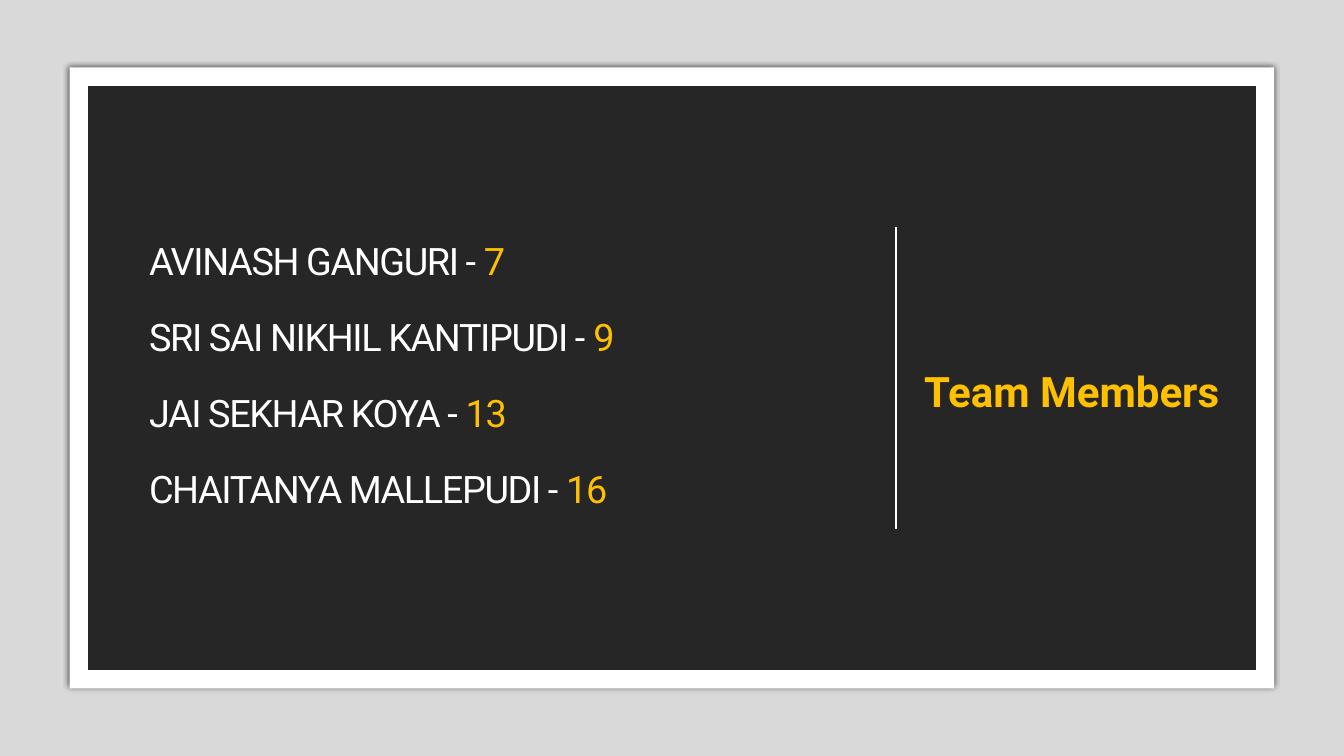
import dataclasses

import pptx
import pptx.dml.color
import pptx.enum.shapes
import pptx.enum.text
import pptx.oxml
import pptx.oxml.ns
import pptx.util

Pt = pptx.util.Pt


@dataclasses.dataclass(frozen=True)
class Theme:
    font: str = "Roboto"
    wall: str = "D9D9D9"
    dark: str = "262626"
    white: str = "FFFFFF"
    gold: str = "FFC000"
    shade: str = "000000"
    list_size: float = 27
    head_size: float = 30
    leading: float = 0.85
    gap: float = 26.9


@dataclasses.dataclass(frozen=True)
class Box:
    left: float
    top: float
    width: float
    height: float


@dataclasses.dataclass(frozen=True)
class Panel:
    box: Box
    fill: str
    line: str = ""
    glow: bool = False


@dataclasses.dataclass(frozen=True)
class Member:
    name: str
    number: int


THEME = Theme()
WIDTH, HEIGHT = 960, 540
PANELS = [
    Panel(Box(0, 0, WIDTH, HEIGHT), THEME.wall),
    Panel(Box(49.7, 48.2, 860.4, 443.5), THEME.white, glow=True),
    Panel(Box(62.7, 61.2, 834.5, 417.6), THEME.dark, line=THEME.white),
]
MEMBERS = [
    Member("AVINASH GANGURI", 7),
    Member("SRI SAI NIKHIL KANTIPUDI", 9),
    Member("JAI SEKHAR KOYA", 13),
    Member("CHAITANYA MALLEPUDI", 16),
]
LIST_BOX = Box(99.4, 100.1, 515.5, 339.8)
HEAD_BOX = Box(653, 257.8, 231.8, 43.9)
RULE_X, RULE_TOP, RULE_END = 640, 162, 378


def color(code: str) -> pptx.dml.color.RGBColor:
    """Turn a hex code into a colour."""
    return pptx.dml.color.RGBColor.from_string(code)


def place(box: Box) -> list[pptx.util.Length]:
    """Give the box as left, top, width and height lengths."""
    return [Pt(side) for side in dataclasses.astuple(box)]


def add_glow(shape) -> None:
    """Put a soft dark shadow evenly around a shape."""
    shape._element.spPr.append(pptx.oxml.parse_xml(
        f'<a:effectLst {pptx.oxml.ns.nsdecls("a")}>'
        f'<a:outerShdw blurRad="{Pt(4)}" dist="0" dir="0" algn="ctr" rotWithShape="0">'
        f'<a:srgbClr val="{THEME.shade}"><a:alpha val="66000"/></a:srgbClr>'
        '</a:outerShdw></a:effectLst>'))


def add_panel(slide, panel: Panel) -> None:
    """Draw one filled rectangle."""
    shape = slide.shapes.add_shape(
        pptx.enum.shapes.MSO_SHAPE.RECTANGLE, *place(panel.box))
    shape.fill.solid()
    shape.fill.fore_color.rgb = color(panel.fill)
    if panel.line:
        shape.line.color.rgb = color(panel.line)
        shape.line.width = Pt(0.5)
    else:
        shape.line.fill.background()
    if panel.glow:
        add_glow(shape)
    else:
        shape.shadow.inherit = False


def style(run, size: float, code: str, bold: bool = False) -> None:
    """Set the font of a run."""
    run.font.name = THEME.font
    run.font.size = Pt(size)
    run.font.bold = bold
    run.font.color.rgb = color(code)


def add_list(slide, members: list[Member]) -> None:
    """Write one line per member, with the number in gold."""
    frame = slide.shapes.add_textbox(*place(LIST_BOX)).text_frame
    frame.word_wrap = True
    frame.vertical_anchor = pptx.enum.text.MSO_ANCHOR.MIDDLE
    for index, member in enumerate(members):
        para = frame.add_paragraph() if index else frame.paragraphs[0]
        para.line_spacing = THEME.leading
        para.space_before = Pt(THEME.gap if index else 0)
        parts = [(f"{member.name} - ", THEME.white), (str(member.number), THEME.gold)]
        for text, code in parts:
            run = para.add_run()
            run.text = text
            style(run, THEME.list_size, code)
            run.font._element.set("spc", "-100")


def add_rule(slide) -> None:
    """Draw the upright line between list and heading."""
    rule = slide.shapes.add_connector(
        pptx.enum.shapes.MSO_CONNECTOR.STRAIGHT,
        Pt(RULE_X), Pt(RULE_TOP), Pt(RULE_X), Pt(RULE_END))
    rule.line.color.rgb = color(THEME.white)
    rule.line.width = Pt(1)
    rule._element.spPr.append(pptx.oxml.parse_xml(
        f'<a:effectLst {pptx.oxml.ns.nsdecls("a")}/>'))


def add_head(slide, text: str) -> None:
    """Write the heading."""
    frame = slide.shapes.add_textbox(*place(HEAD_BOX)).text_frame
    frame.word_wrap = False
    frame.auto_size = pptx.enum.text.MSO_AUTO_SIZE.SHAPE_TO_FIT_TEXT
    frame.text = text
    style(frame.paragraphs[0].runs[0], THEME.head_size, THEME.gold, bold=True)


def main() -> None:
    """Build and save the slide."""
    deck = pptx.Presentation()
    deck.slide_width, deck.slide_height = Pt(WIDTH), Pt(HEIGHT)
    slide = deck.slides.add_slide(deck.slide_layouts[6])
    for panel in PANELS:
        add_panel(slide, panel)
    add_list(slide, MEMBERS)
    add_rule(slide)
    add_head(slide, "Team Members")
    deck.save("out.pptx")


if __name__ == "__main__":
    main()
